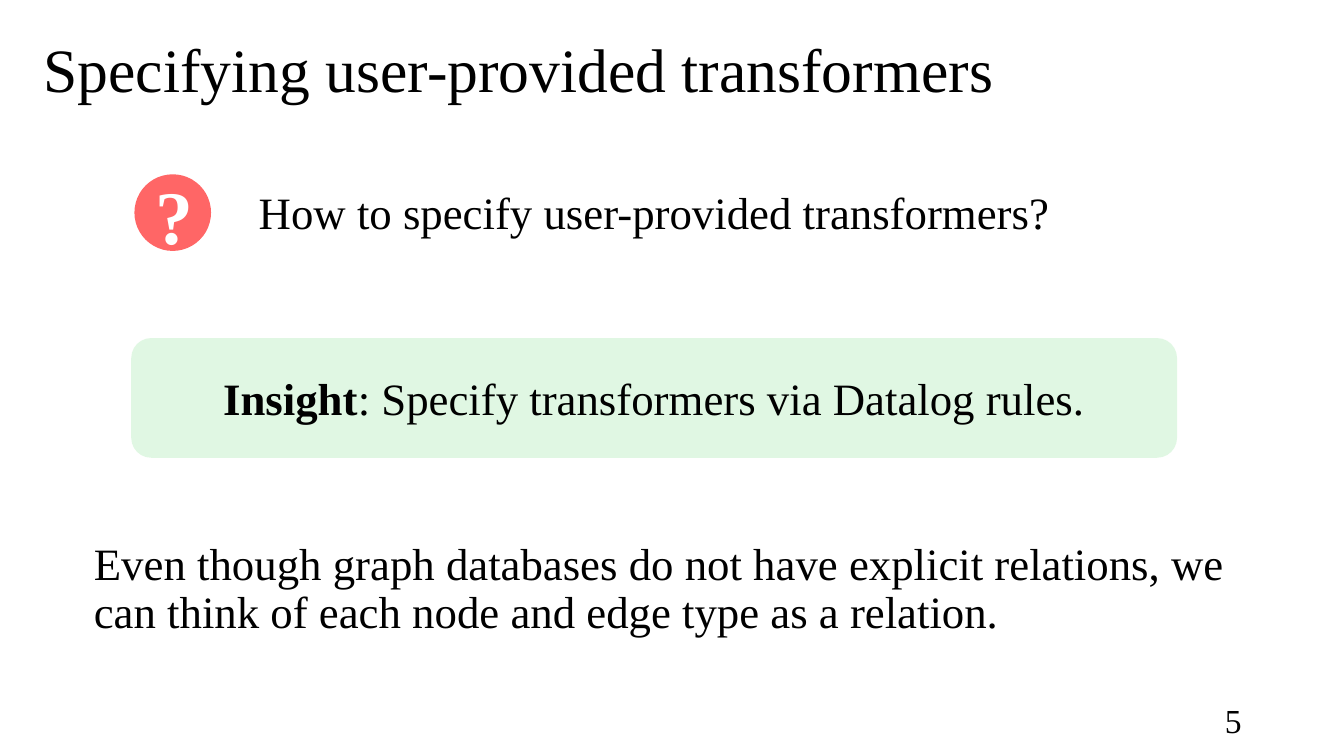
"""Build the slide on specifying user-provided transformers."""

from dataclasses import dataclass

import pptx
import pptx.dml.color
import pptx.enum.shapes
import pptx.enum.text
import pptx.oxml
import pptx.oxml.ns
import pptx.util
from pptx.shapes.autoshape import Shape
from pptx.slide import Slide

EMU_PER_PX = 9525
FONT = "Times New Roman"
BLACK = "000000"
ALIGN = pptx.enum.text.PP_ALIGN
ANCHOR = pptx.enum.text.MSO_ANCHOR
PRESET = pptx.enum.shapes.MSO_SHAPE


@dataclass(frozen=True)
class Box:
    """A rectangle in px."""

    left: int
    top: int
    width: int
    height: int


@dataclass(frozen=True)
class Label:
    """A text box, with an optional bold lead in front of its text."""

    box: Box
    text: str
    size: int
    lead: str = ""
    color: str = BLACK
    align: ALIGN = ALIGN.LEFT
    anchor: ANCHOR = ANCHOR.MIDDLE
    line_spacing: float = 1.0


@dataclass(frozen=True)
class Panel:
    """A filled preset shape without outline."""

    box: Box
    preset: PRESET
    fill: str
    opacity: int = 100


INSIGHT_BOX = Box(125, 322, 996, 114)

PANELS = [
    Panel(INSIGHT_BOX, PRESET.ROUNDED_RECTANGLE, "C2F1C8", opacity=50),
    Panel(Box(128, 166, 73, 73), PRESET.OVAL, "FF6666"),
]

LABELS = [
    Label(Box(32, 0, 1238, 139), "Specifying user-provided transformers", 44, line_spacing=0.9),
    Label(Box(237, 168, 955, 73), "How to specify user-provided transformers?", 32, line_spacing=0.9),
    Label(Box(125, 156, 82, 97), "", 54, lead="?", color="FFFFFF", align=ALIGN.CENTER, anchor=ANCHOR.TOP),
    Label(INSIGHT_BOX, ": Specify transformers via Datalog rules.", 32, lead="Insight", align=ALIGN.CENTER),
    Label(
        Box(80, 505, 1112, 114),
        "Even though graph databases do not have explicit relations, "
        "we can think of each node and edge type as a relation.",
        32,
        line_spacing=0.9,
    ),
    Label(Box(904, 667, 288, 38), "5", 24, align=ALIGN.RIGHT),
]


def px(length: int) -> pptx.util.Emu:
    """Turn px into EMU."""
    return pptx.util.Emu(length * EMU_PER_PX)


def place(box: Box) -> tuple[pptx.util.Emu, ...]:
    """Return left, top, width and height in EMU."""
    return px(box.left), px(box.top), px(box.width), px(box.height)


def rgb(color: str) -> pptx.dml.color.RGBColor:
    """Turn a hex string into a colour."""
    return pptx.dml.color.RGBColor.from_string(color)


def write_text(shape: Shape, label: Label) -> None:
    """Write the label's text into a shape."""
    frame = shape.text_frame
    frame.word_wrap = True
    frame.vertical_anchor = label.anchor
    paragraph = frame.paragraphs[0]
    paragraph.alignment = label.align
    paragraph.line_spacing = label.line_spacing
    for text, bold in ((label.lead, True), (label.text, False)):
        if text:
            run = paragraph.add_run()
            run.text = text
            run.font.name = FONT
            run.font.size = pptx.util.Pt(label.size)
            run.font.bold = bold
            run.font.color.rgb = rgb(label.color)


def add_panel(slide: Slide, panel: Panel) -> Shape:
    """Draw a filled shape."""
    shape = slide.shapes.add_shape(panel.preset, *place(panel.box))
    shape.shadow.inherit = False
    shape.line.fill.background()
    shape.fill.solid()
    shape.fill.fore_color.rgb = rgb(panel.fill)
    if panel.opacity < 100:
        color = shape.element.spPr.find(".//" + pptx.oxml.ns.qn("a:srgbClr"))
        alpha = pptx.oxml.parse_xml(f'<a:alpha {pptx.oxml.ns.nsdecls("a")} val="{panel.opacity * 1000}"/>')
        color.append(alpha)
    return shape


def main() -> None:
    """Build and save the presentation."""
    presentation = pptx.Presentation()
    presentation.slide_width, presentation.slide_height = px(1280), px(720)
    slide = presentation.slides.add_slide(presentation.slide_layouts[6])
    panels = {panel.box: add_panel(slide, panel) for panel in PANELS}
    for label in LABELS:
        shape = panels.get(label.box) or slide.shapes.add_textbox(*place(label.box))
        write_text(shape, label)
    presentation.save("out.pptx")


if __name__ == "__main__":
    main()
